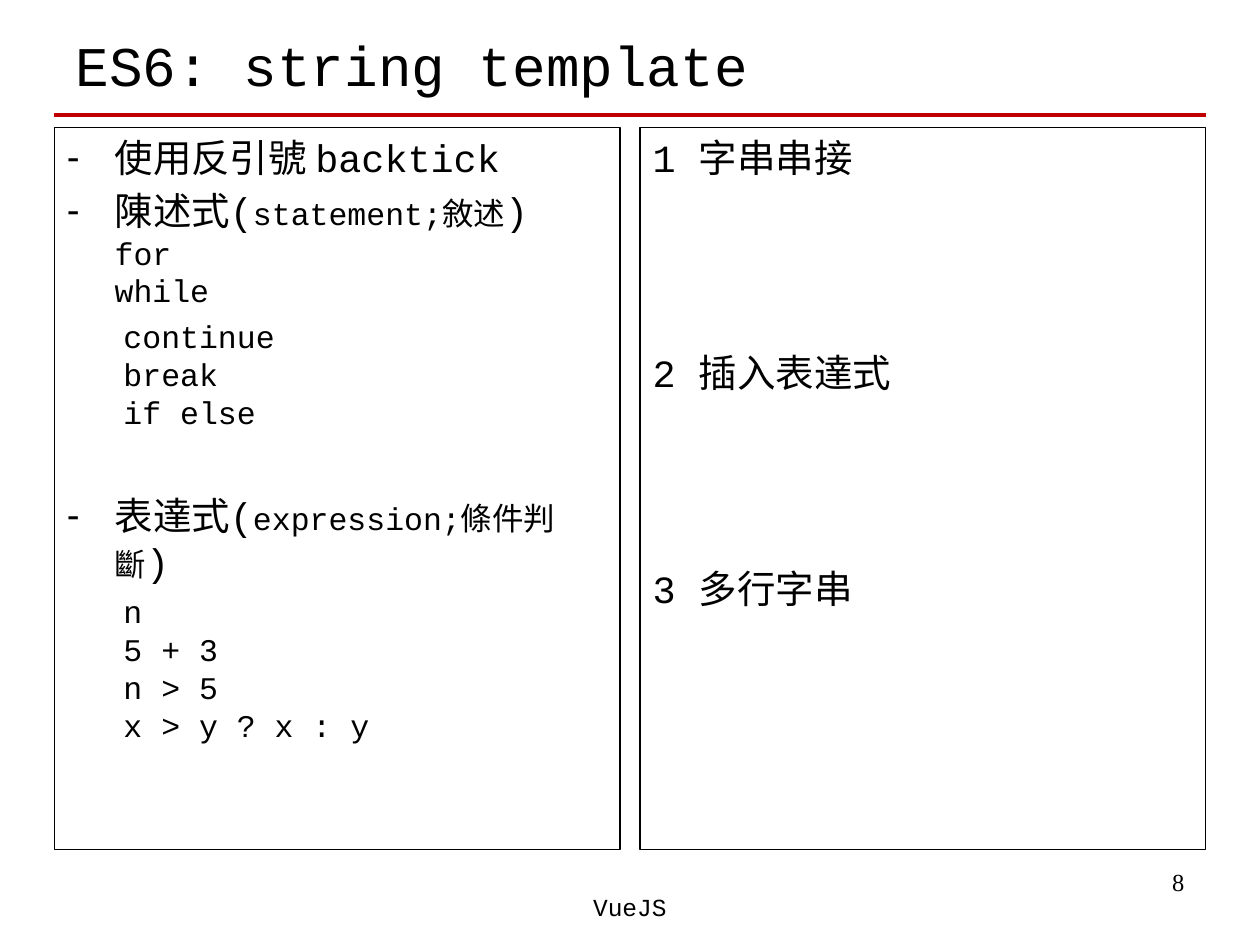
import collections
import dataclasses

import pptx
import pptx.dml.color
import pptx.enum.text
import pptx.oxml
import pptx.oxml.ns
import pptx.util
from lxml import etree

ALIGN = pptx.enum.text.PP_ALIGN
ANCHOR = pptx.enum.text.MSO_ANCHOR
AUTO_SIZE = pptx.enum.text.MSO_AUTO_SIZE

# Every box is given in percent of the slide's width and height.
Box = collections.namedtuple("Box", "left top width height")
Item = collections.namedtuple("Item", "lines bullet gap indent", defaults=("", 4.4, 0))


@dataclasses.dataclass(frozen=True)
class Theme:
    code_font: str = "Courier New"
    number_font: str = "Times New Roman"
    ink: str = "000000"
    accent: str = "C00000"
    title: int = 32
    body: int = 22
    detail: int = 18
    footer: int = 14
    rule: float = 2.25
    border: float = 0.75


THEME = Theme()
BULLET_INDENT = 0.38
CODE_INDENT = 0.45
BLANK_LINE = 30.86
ITEM_GAP = 4.4
SLIDE_WIDTH, SLIDE_HEIGHT = pptx.util.Inches(10), pptx.util.Inches(7.5)
MARGIN, GUTTER = 4.3, 1.6
CONTENT_WIDTH = 100 - 2 * MARGIN
COLUMN_WIDTH = (CONTENT_WIDTH - GUTTER) / 2


def across(share):
    return int(SLIDE_WIDTH * share / 100)


def down(share):
    return int(SLIDE_HEIGHT * share / 100)


def apply(target, formats):
    for name, value in formats.items():
        setattr(target, name, value)


def color(value):
    return pptx.dml.color.RGBColor.from_string(value)


def place(part, box):
    apply(part, {"left": across(box.left), "top": down(box.top),
                 "width": across(box.width), "height": down(box.height)})


def format_frame(frame, anchor=ANCHOR.TOP):
    apply(frame, {"word_wrap": True, "auto_size": AUTO_SIZE.NONE, "vertical_anchor": anchor})


def add_text(paragraph, text, size, font=THEME.code_font):
    run = paragraph.add_run()
    run.text = text
    apply(run.font, {"size": pptx.util.Pt(size), "name": font})
    run.font.color.rgb = color(THEME.ink)


def set_bullet(paragraph, mark, indent):
    """Hang the text behind a mark, or only indent it when there is no mark."""
    properties = paragraph._p.get_or_add_pPr()
    properties.set("marL", str(pptx.util.Inches(indent)))
    properties.set("indent", str(-pptx.util.Inches(indent) if mark else 0))
    if not mark:
        etree.SubElement(properties, pptx.oxml.ns.qn("a:buNone"))
        return
    bullet_color = etree.SubElement(properties, pptx.oxml.ns.qn("a:buClr"))
    etree.SubElement(bullet_color, pptx.oxml.ns.qn("a:srgbClr")).set("val", THEME.ink)
    etree.SubElement(properties, pptx.oxml.ns.qn("a:buChar")).set("char", mark)


def fill_title(title, box, text):
    place(title, box)
    format_frame(title.text_frame, ANCHOR.MIDDLE)
    paragraph = title.text_frame.paragraphs[0]
    paragraph.alignment = ALIGN.LEFT
    add_text(paragraph, text, THEME.title)


def add_rule(slide, box):
    left, top = across(box.left), down(box.top)
    rule = slide.shapes.add_connector(1, left, top, left + across(box.width), top)
    rule.line.color.rgb = color(THEME.accent)
    rule.line.width = pptx.util.Pt(THEME.rule)
    etree.SubElement(rule._element.spPr, pptx.oxml.ns.qn("a:effectLst"))


def fill_panel(panel, box, items):
    """Fill a bordered body; each line of an item is a list of (text, size)."""
    place(panel, box)
    panel.line.color.rgb = color(THEME.ink)
    panel.line.width = pptx.util.Pt(THEME.border)
    frame = panel.text_frame
    format_frame(frame)
    for number, item in enumerate(items):
        paragraph = frame.add_paragraph() if number else frame.paragraphs[0]
        apply(paragraph, {"space_before": pptx.util.Pt(item.gap), "alignment": ALIGN.LEFT})
        set_bullet(paragraph, item.bullet, item.indent)
        for row, line in enumerate(item.lines):
            if row:
                paragraph.add_line_break()
            for text, size in line:
                add_text(paragraph, text, size)


def add_label(slide, box, text, font, alignment):
    label = slide.shapes.add_textbox(0, 0, 0, 0)
    place(label, box)
    format_frame(label.text_frame)
    paragraph = label.text_frame.paragraphs[0]
    paragraph.alignment = alignment
    add_text(paragraph, text, THEME.footer, font)


def code_lines(*lines):
    return [[(line, THEME.detail)] for line in lines]


def term(name, gloss):
    return [(name + "(", THEME.body), (gloss, THEME.detail), (")", THEME.body)]


def bulleted(lines, gap=ITEM_GAP):
    return Item(lines, "-", gap, BULLET_INDENT)


def code(*lines):
    return Item(code_lines(*lines), indent=CODE_INDENT)


def main():
    deck = pptx.Presentation()
    apply(deck, {"slide_width": SLIDE_WIDTH, "slide_height": SLIDE_HEIGHT})
    slide = deck.slides.add_slide(deck.slide_layouts.get_by_name("Two Content"))
    title, syntax, uses = slide.placeholders

    syntax_items = [
        bulleted([[("使用反引號 backtick", THEME.body)]], gap=0),
        bulleted([term("陳述式", "statement;敘述")] + code_lines("for", "while")),
        code("continue", "break", "if else"),
        bulleted([term("表達式", "expression;條件判斷")], gap=ITEM_GAP + BLANK_LINE),
        code("n", "5 + 3", "n > 5", "x > y ? x : y"),
    ]
    use_items = [
        Item([[(f"{number} {use}", THEME.body)]],
             gap=ITEM_GAP + 3 * BLANK_LINE if number > 1 else 0)
        for number, use in enumerate(("字串串接", "插入表達式", "多行字串"), 1)
    ]

    fill_title(title, Box(5, 1.73, 90, 10.13), "ES6: string template")
    add_rule(slide, Box(MARGIN, 12.13, CONTENT_WIDTH, 0))
    for column, (panel, items) in enumerate(((syntax, syntax_items), (uses, use_items))):
        left = MARGIN + column * (COLUMN_WIDTH + GUTTER)
        fill_panel(panel, Box(left, 13.47, COLUMN_WIDTH, 76.4), items)
    add_label(slide, Box(71.7, 91.07, 23.3, 6.93), "8", THEME.number_font, ALIGN.RIGHT)
    add_label(slide, Box(34.15, 93.73, 31.7, 6.67), "VueJS", THEME.code_font, ALIGN.CENTER)
    deck.save("out.pptx")


if __name__ == "__main__":
    main()
